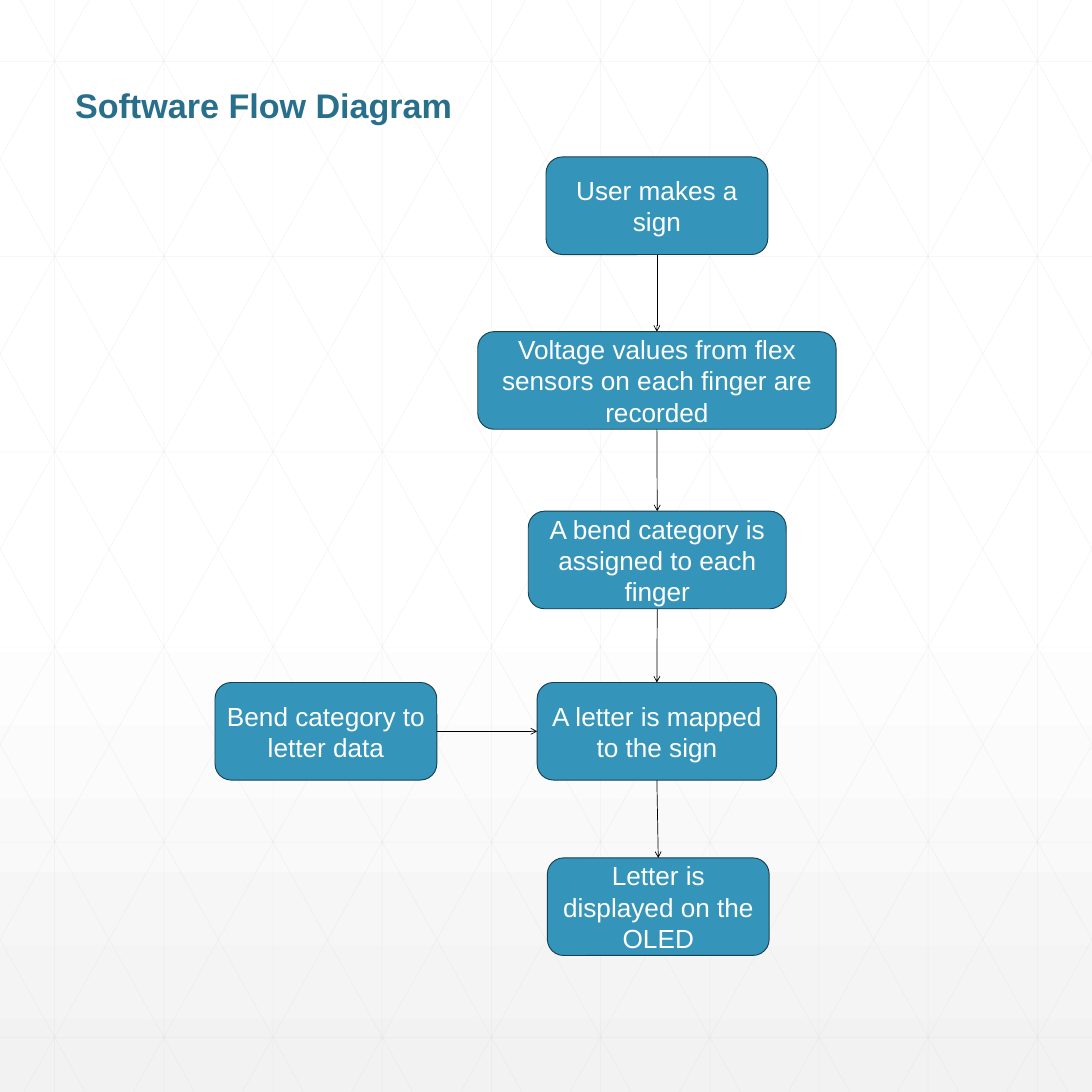
"""Build the software flow diagram slide."""
from lxml import etree
from pptx import Presentation
from pptx.dml.color import RGBColor
from pptx.enum.shapes import MSO_CONNECTOR, MSO_SHAPE
from pptx.enum.text import MSO_ANCHOR, MSO_AUTO_SIZE, PP_ALIGN
from pptx.oxml.ns import qn
from pptx.util import Inches, Pt

STRAIGHT = MSO_CONNECTOR.STRAIGHT
ROUNDED = MSO_SHAPE.ROUNDED_RECTANGLE
TOP, MIDDLE = MSO_ANCHOR.TOP, MSO_ANCHOR.MIDDLE
LEFT, CENTER = PP_ALIGN.LEFT, PP_ALIGN.CENTER
NO_AUTOFIT = MSO_AUTO_SIZE.NONE
TOP_SITE, LEFT_SITE, BOTTOM_SITE, RIGHT_SITE = range(4)

SIZE = 16
TITLE_LAYOUT = 5
COLORS = {
    "white": "FFFFFF", "fade": "F2F2F2", "grid": "D9D9D9", "title": "276F8B",
    "box": "3494BA", "outline": "174152", "arrow": "000000",
}
GRID_STEP, GRID_START = 1.6, 0.8
ROW_STEP, ROW_START = 2.86, 0.9
DIAGONAL_START, DIAGONAL_RUN = 0.3, 8.95

BOX_HEIGHT = 1.43
STEPS = [
    ("User makes a sign", 8, 2.3, 3.25),
    ("Voltage values from flex sensors on each finger are recorded", 7, 4.86, 5.25),
    ("A bend category is assigned to each finger", 7.74, 7.49, 3.78),
    ("A letter is mapped to the sign", 7.87, 10, 3.51),
    ("Letter is displayed on the OLED", 8.02, 12.57, 3.25),
]
MAPPING_STEP = 3
LOOKUP = ("Bend category to letter data", 3.15, 10, 3.25)


def rgb(name):
    """Return the named colour."""
    return RGBColor.from_string(COLORS[name])


def apply(target, values):
    """Set each attribute in values on the target."""
    for key, value in values.items():
        setattr(target, key, value)


def write_text(frame, text, color, size, bold, frame_format, paragraph_format):
    """Fill a text frame with one formatted paragraph."""
    frame.text = text
    apply(frame, {"word_wrap": True, "auto_size": NO_AUTOFIT, **frame_format})
    paragraph = frame.paragraphs[0]
    apply(paragraph, paragraph_format)
    font = paragraph.runs[0].font
    apply(font, {"name": "Arial", "size": Pt(size), "bold": bold})
    font.color.rgb = rgb(color)


def add_line(shapes, start, end, color, width):
    """Add a straight, shadowless line between two points in inches."""
    line = shapes.add_connector(STRAIGHT, *map(Inches, (*start, *end)))
    line.line.color.rgb = rgb(color)
    line.line.width = Pt(width)
    etree.SubElement(line.element.spPr, qn("a:effectLst"))
    return line


def add_grid_line(shapes, start, end):
    """Add one faint line of the background grid."""
    line = add_line(shapes, start, end, "grid", 0.5)
    color = line.element.spPr.find(".//" + qn("a:srgbClr"))
    etree.SubElement(color, qn("a:alpha"), val="30000")


def add_grid(slide):
    """Add the triangular grid behind everything else."""
    grid = slide.shapes.add_group_shape()
    for column in range(10):
        x = GRID_START + GRID_STEP * column
        add_grid_line(grid.shapes, (x, 0), (x, SIZE))
    for row in range(6):
        y = ROW_START + ROW_STEP * row
        add_grid_line(grid.shapes, (0, y), (SIZE, y))
    slope = SIZE / DIAGONAL_RUN
    for index in range(-5, 10):
        x = DIAGONAL_START + GRID_STEP * index
        left, right = max(x, 0), min(x + DIAGONAL_RUN, SIZE)
        upper, lower = (left - x) * slope, (right - x) * slope
        add_grid_line(grid.shapes, (left, upper), (right, lower))
        add_grid_line(grid.shapes, (SIZE - left, upper), (SIZE - right, lower))
    slide.shapes.element.insert(2, grid.element)


def set_background(slide):
    """Fade the lower half of the slide from white to light grey."""
    fill = slide.background.fill
    fill.gradient()
    fill.gradient_angle = 270
    for stop, (position, color) in zip(fill.gradient_stops, [(0.53, "white"), (1, "fade")]):
        stop.position = position
        stop.color.rgb = rgb(color)


def set_title(slide, text):
    """Place and format the slide title."""
    title = slide.shapes.title
    apply(title, {"left": Inches(1), "top": Inches(1.26),
                  "width": Inches(12), "height": Inches(1)})
    write_text(title.text_frame, text, "title", 36, True,
               {"vertical_anchor": TOP}, {"alignment": LEFT, "line_spacing": 0.9})


def add_box(slide, text, left, top, width):
    """Add a rounded box of the flow."""
    box = slide.shapes.add_shape(ROUNDED, *map(Inches, (left, top, width, BOX_HEIGHT)))
    box.shadow.inherit = False
    box.fill.solid()
    box.fill.fore_color.rgb = rgb("box")
    box.line.color.rgb = rgb("outline")
    box.line.width = Pt(1)
    write_text(box.text_frame, text, "white", 27.6, False,
               {"vertical_anchor": MIDDLE}, {"alignment": CENTER})
    return box


def add_arrow(slide, source, source_site, target, target_site):
    """Join two boxes with an arrow."""
    arrow = add_line(slide.shapes, (0, 0), (1, 1), "arrow", 0.75)
    arrow.begin_connect(source, source_site)
    arrow.end_connect(target, target_site)
    etree.SubElement(arrow.element.spPr.find(qn("a:ln")), qn("a:tailEnd"), type="arrow")


def main():
    """Build and save the slide."""
    deck = Presentation()
    apply(deck, {"slide_width": Inches(SIZE), "slide_height": Inches(SIZE)})
    slide = deck.slides.add_slide(deck.slide_layouts[TITLE_LAYOUT])
    set_background(slide)
    add_grid(slide)
    set_title(slide, "Software Flow Diagram")
    steps = [add_box(slide, *step) for step in STEPS]
    for current, following in zip(steps, steps[1:]):
        add_arrow(slide, current, BOTTOM_SITE, following, TOP_SITE)
    lookup = add_box(slide, *LOOKUP)
    add_arrow(slide, lookup, RIGHT_SITE, steps[MAPPING_STEP], LEFT_SITE)
    deck.save("out.pptx")


main()
